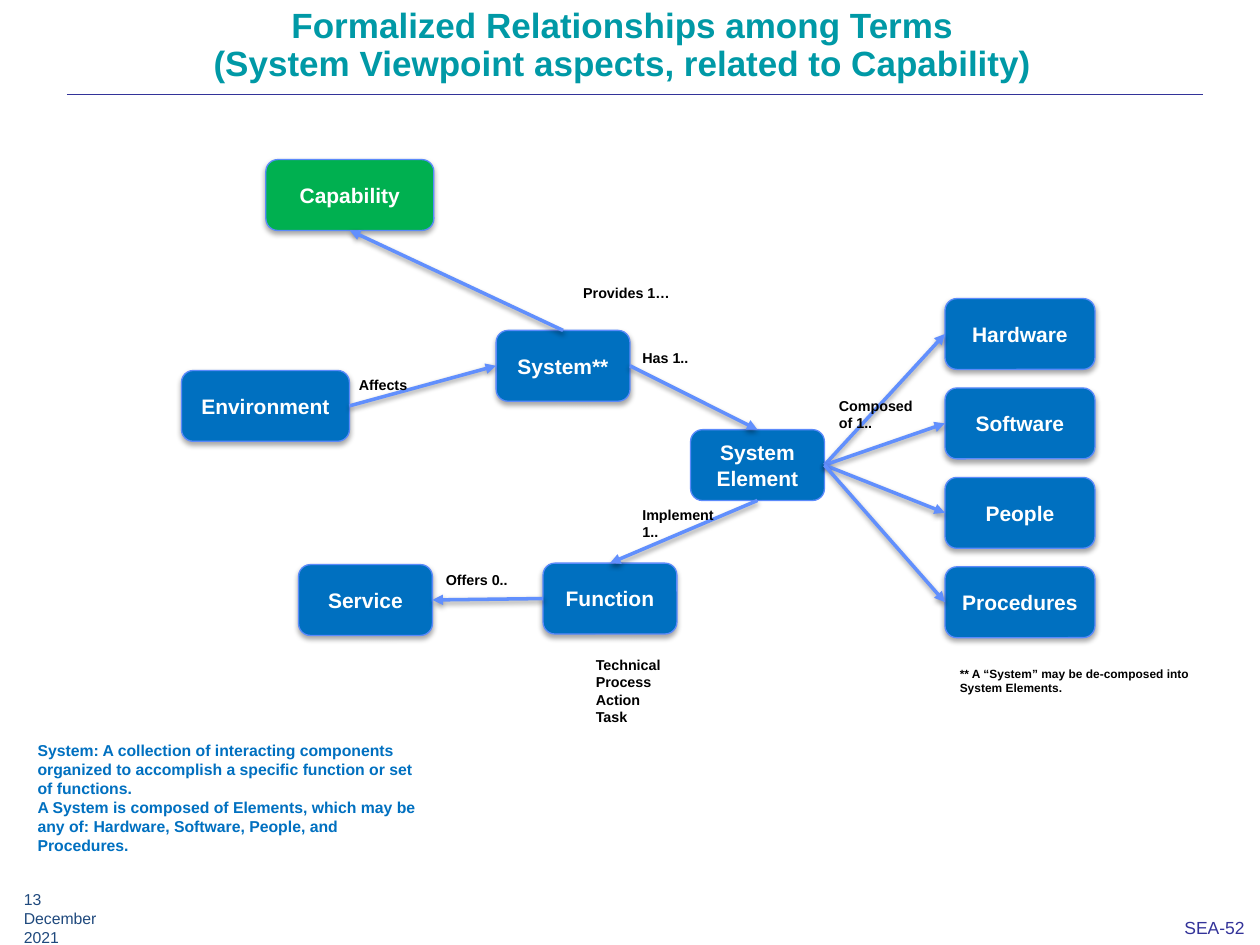
from dataclasses import dataclass

from lxml import etree
from pptx import Presentation
from pptx.dml.color import RGBColor
from pptx.enum.shapes import MSO_CONNECTOR as Line, MSO_SHAPE as Shape
from pptx.enum.text import MSO_ANCHOR as Anchor, MSO_AUTO_SIZE as Fit, PP_ALIGN as Align
from pptx.oxml import parse_xml
from pptx.oxml.ns import nsdecls, qn
from pptx.util import Pt


@dataclass(frozen=True)
class Theme:
    font: str = "Arial"
    title: str = "0099A6"
    node: str = "0070C0"
    capability: str = "00B050"
    edge: str = "5B8AFB"
    link: str = "618FFD"
    rule: str = "333399"
    date: str = "1F497D"
    black: str = "000000"
    white: str = "FFFFFF"
    title_size: float = 20
    node_size: float = 12
    number_size: float = 10
    text_size: float = 9
    label_size: float = 8.2
    note_size: float = 6.8


theme = Theme()


def write(shape, text, size, color, bold=True, align=Align.LEFT):
    """Put text into a shape, one paragraph per line."""
    shape.text_frame.text = text
    for para in shape.text_frame.paragraphs:
        para.alignment = align
        para.font.name = theme.font
        para.font.size = Pt(size)
        para.font.bold = bold
        para.font.color.rgb = RGBColor.from_string(color)


def add_shadow(shape, opacity, distance):
    """Give a shape a soft shadow straight below it."""
    shape._element.spPr.append(parse_xml(
        f'<a:effectLst {nsdecls("a")}><a:outerShdw blurRad="{Pt(3.1)}" dist="{Pt(distance)}" '
        f'dir="5400000" rotWithShape="0"><a:srgbClr val="{theme.black}">'
        f'<a:alpha val="{opacity * 1000}"/></a:srgbClr></a:outerShdw></a:effectLst>'))


deck = Presentation()
deck.slide_width, deck.slide_height = Pt(720), Pt(540)
page = deck.slides.add_slide(deck.slide_layouts[5])

# Title and the rule below it
title = page.shapes.title
title.left, title.top, title.width, title.height = Pt(31.7), Pt(1.4), Pt(648), Pt(60.5)
write(title, "Formalized Relationships among Terms\v"
      "(System Viewpoint aspects, related to Capability)",
      theme.title_size, theme.title, align=Align.CENTER)
title.text_frame.vertical_anchor = Anchor.TOP
title.text_frame.auto_size = Fit.NONE
title.text_frame.paragraphs[0].line_spacing = 0.9

rule = page.shapes.add_connector(Line.STRAIGHT, Pt(38.2), Pt(54), Pt(687.6), Pt(54))
rule.line.color.rgb = RGBColor.from_string(theme.rule)
rule.line.width = Pt(0.13)
etree.SubElement(rule._element.spPr, qn("a:effectLst"))

# Terms: name, left, top, width
parts = ["Hardware", "Software", "People", "Procedures"]
terms = [
    ("System**", 283.5, 188.8, 76.5),
    ("System\nElement", 394.6, 245.5, 76.5),
    ("Function", 310.3, 321.8, 76.5),
    ("Environment", 103.7, 211.7, 96),
    ("Service", 170.6, 322.6, 76.5),
    ("Capability", 151.9, 91.2, 96),
] + [(part, 540, 170.6 + 51.1 * row, 85.7) for row, part in enumerate(parts)]

nodes = {}
for name, left, top, width in terms:
    node = page.shapes.add_shape(Shape.ROUNDED_RECTANGLE, Pt(left), Pt(top), Pt(width), Pt(40.5))
    node.fill.solid()
    node.fill.fore_color.rgb = RGBColor.from_string(
        theme.capability if name == "Capability" else theme.node)
    node.line.color.rgb = RGBColor.from_string(theme.edge)
    node.line.width = Pt(0.75)
    if name == "System\nElement":
        node.shadow.inherit = False
    else:
        add_shadow(node, 35, 1.8)
    write(node, name, theme.node_size, theme.white, align=Align.CENTER)
    node.text_frame.vertical_anchor = Anchor.MIDDLE
    nodes[name] = node

# Relationships: from term and side, to term and side
TOP, LEFT, BOTTOM, RIGHT = range(4)
links = [
    ("System**", RIGHT, "System\nElement", TOP),
    ("System\nElement", BOTTOM, "Function", TOP),
    ("Environment", RIGHT, "System**", LEFT),
    ("Function", LEFT, "Service", RIGHT),
    ("System**", TOP, "Capability", BOTTOM),
] + [("System\nElement", RIGHT, part, LEFT) for part in parts]

for source, source_side, target, target_side in links:
    link = page.shapes.add_connector(Line.STRAIGHT, 0, 0, 0, 0)
    link.begin_connect(nodes[source], source_side)
    link.end_connect(nodes[target], target_side)
    link.line.color.rgb = RGBColor.from_string(theme.link)
    link.line.width = Pt(2)
    etree.SubElement(link.line._get_or_add_ln(), qn("a:tailEnd"), type="triangle")
    add_shadow(link, 38, 1.6)

# Relationship labels and notes: text, left, top, width, height, size, colour
texts = [
    ("Has 1..", 360, 195.8, 41.8, 17.3, theme.label_size, theme.black),
    ("Composed of 1..", 472.3, 223.2, 56.9, 27.4, theme.label_size, theme.black),
    ("Implement 1..", 360, 285.8, 57.6, 27.4, theme.label_size, theme.black),
    ("Affects", 198, 211.7, 60.5, 17.3, theme.label_size, theme.black),
    ("Offers 0..", 247.7, 322.6, 54, 17.3, theme.label_size, theme.black),
    ("Provides 1…", 326.2, 159.1, 76.3, 17.3, theme.label_size, theme.black),
    ("Technical Process\nAction\nTask", 333.4, 371.5, 84.2, 47.5, theme.label_size, theme.black),
    ("** A “System” may be de-composed into System Elements.",
     541.4, 377.3, 148.3, 23.8, theme.note_size, theme.black),
    ("System: A collection of interacting components organized to accomplish "
     "a specific function or set of functions.\n"
     "A System is composed of Elements, which may be any of: "
     "Hardware, Software, People, and Procedures.",
     14.4, 419.8, 233.3, 72.7, theme.text_size, theme.node),
]
for text, left, top, width, height, size, color in texts:
    box = page.shapes.add_textbox(Pt(left), Pt(top), Pt(width), Pt(height))
    write(box, text, size, color)
    box.text_frame.word_wrap = text != "Has 1.."
    box.text_frame.auto_size = Fit.SHAPE_TO_FIT_TEXT

# Date and page number
date = page.shapes.add_textbox(Pt(6.5), Pt(514.8), Pt(58.3), Pt(20.2))
write(date, "13 December 2021", theme.text_size, theme.date, bold=False)
date.text_frame.word_wrap = False
date.text_frame.vertical_anchor = Anchor.MIDDLE

number = page.shapes.add_textbox(Pt(670.3), Pt(521.3), Pt(49), Pt(18.7))
write(number, "SEA-52", theme.number_size, theme.rule, bold=False)
frame = number.text_frame
frame.word_wrap = False
frame.auto_size = Fit.SHAPE_TO_FIT_TEXT
frame.margin_left = frame.margin_right = Pt(6.5)
frame.margin_top = frame.margin_bottom = Pt(3)

deck.save("out.pptx")
